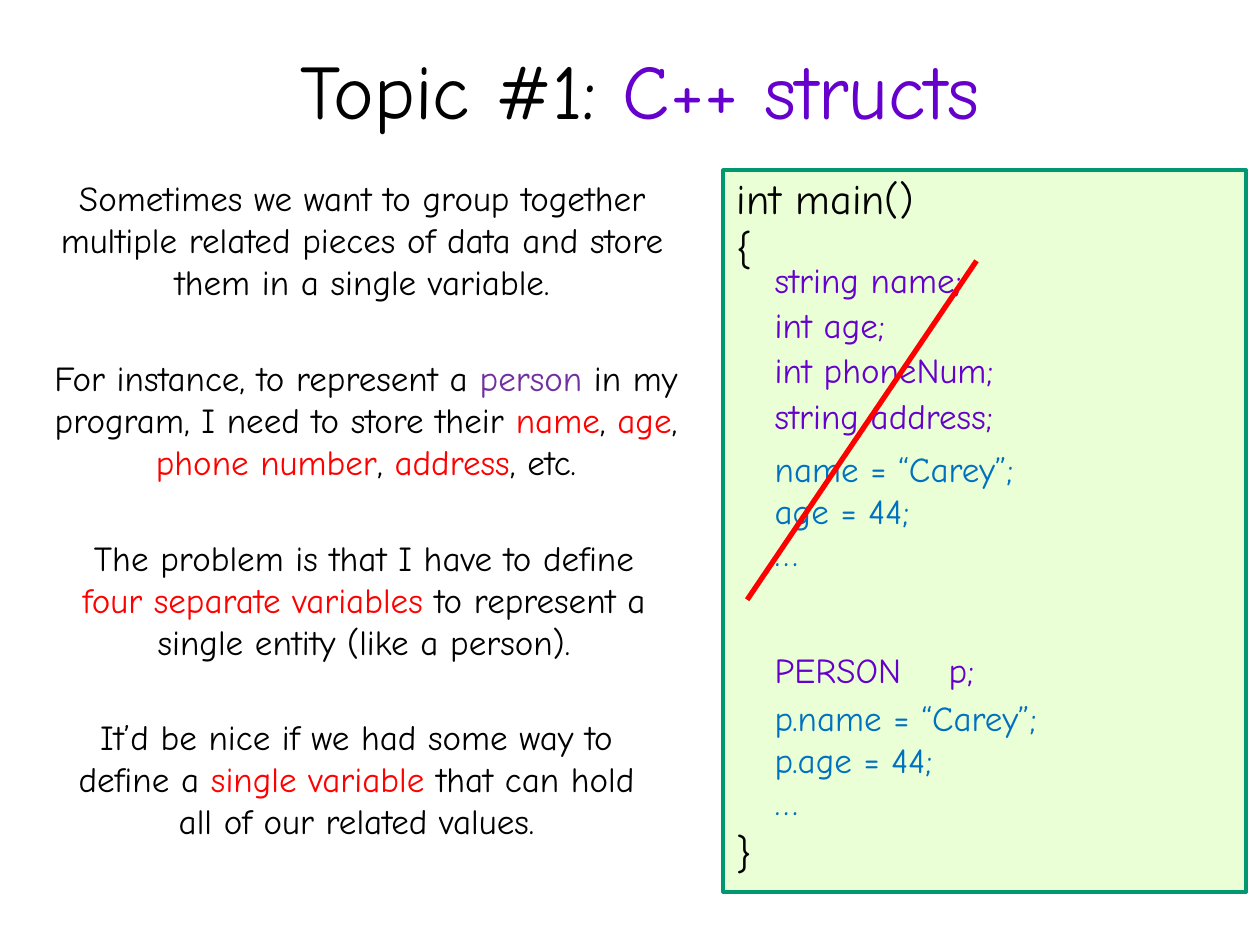
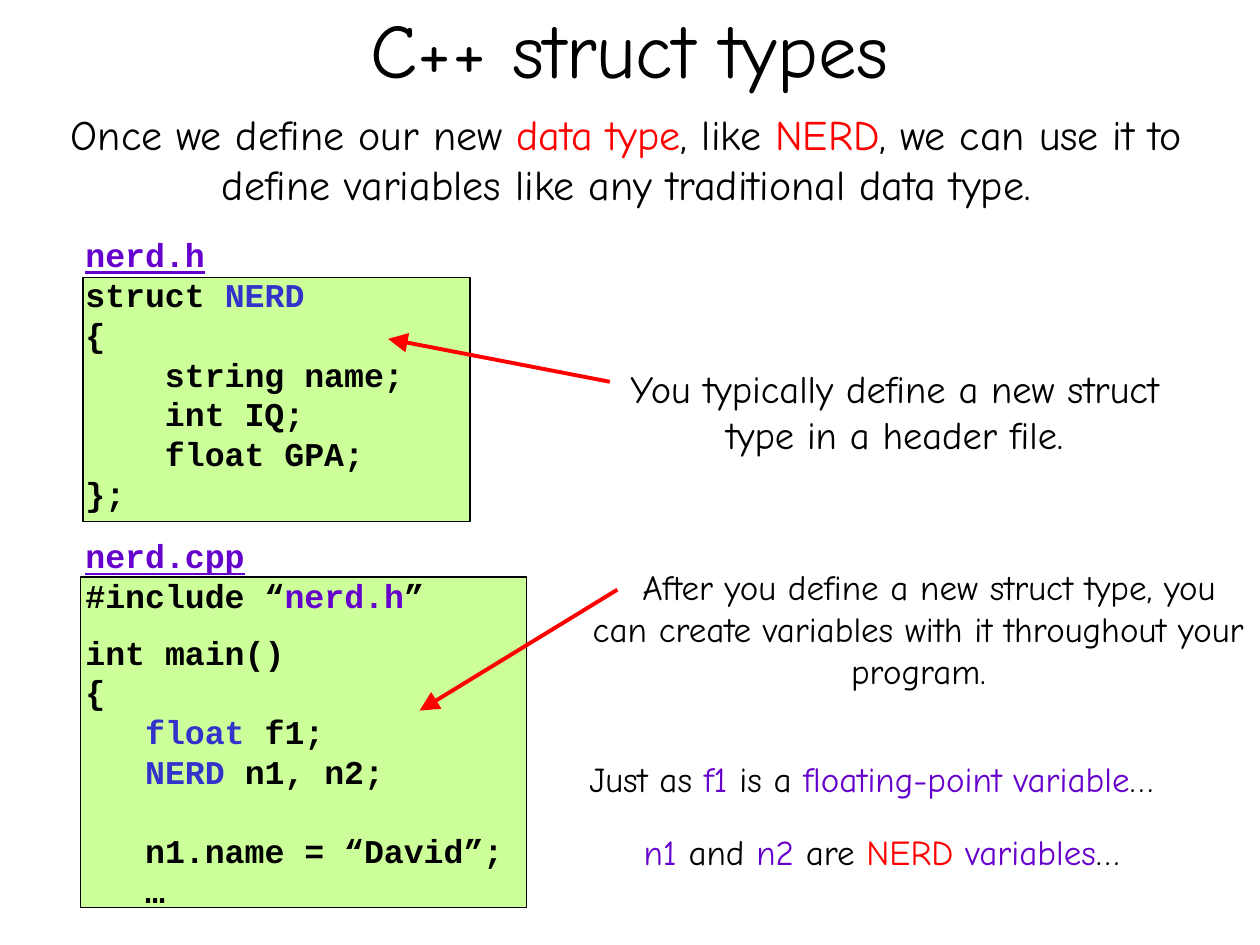
"""Build two slides that introduce C++ structs."""
import pptx
import pptx.dml.color
import pptx.enum.shapes
import pptx.enum.text
import pptx.oxml
import pptx.oxml.ns
import pptx.util
import lxml.etree

Inches = pptx.util.Inches
Pt = pptx.util.Pt
ALIGN = pptx.enum.text.PP_ALIGN
COLORS = {
    "black": "000000", "red": "FF0000", "violet": "6600CC", "purple": "7030A0",
    "azure": "0070C0", "indigo": "3333CC", "green": "009771",
    "mint": "EAFFD5", "lime": "CCFF99",
}
HAND_FONT = "Comic Neue"
CODE_FONT = "Courier New"
LINE_BREAK = "\n"


def rgb(name):
    """Return the named colour."""
    return pptx.dml.color.RGBColor.from_string(COLORS[name])


def child(parent, tag, **attributes):
    """Append a drawing element to a parent element."""
    return lxml.etree.SubElement(parent, pptx.oxml.ns.qn(tag), **attributes)


def add_text(page, box, lines, size, color="black", align=ALIGN.LEFT, font=HAND_FONT):
    """Add a text box; each line lists strings, (text, colour) pairs or breaks."""
    shape = page.shapes.add_textbox(*map(Inches, box))
    frame = shape.text_frame
    frame.word_wrap = True
    for number, pieces in enumerate(lines):
        para = frame.add_paragraph() if number else frame.paragraphs[0]
        para.alignment = align
        for piece in pieces:
            if piece == LINE_BREAK:
                para.add_line_break()
                continue
            text, shade = (piece, color) if isinstance(piece, str) else piece
            span = para.add_run()
            span.text = text
            span.font.name = font
            span.font.size = Pt(size)
            span.font.color.rgb = rgb(shade)
    return frame


def add_title(page, box, pieces):
    """Add a slide title, centred in its box."""
    frame = add_text(page, box, [pieces], 44, align=ALIGN.CENTER)
    frame.vertical_anchor = pptx.enum.text.MSO_ANCHOR.MIDDLE


def add_note(page, box, pieces, size=20):
    """Add a centred explanation."""
    return add_text(page, box, [pieces], size, align=ALIGN.CENTER)


def add_panel(page, box, fill, line, width):
    """Add the coloured rectangle behind code."""
    panel = page.shapes.add_shape(
        pptx.enum.shapes.MSO_SHAPE.RECTANGLE, *map(Inches, box))
    panel.shadow.inherit = False
    panel.fill.solid()
    panel.fill.fore_color.rgb = rgb(fill)
    panel.line.color.rgb = rgb(line)
    panel.line.width = Pt(width)


def add_red_line(page, start, end, width, arrow=False):
    """Add a straight red line, with an arrowhead at its end if wanted."""
    line = page.shapes.add_connector(
        pptx.enum.shapes.MSO_CONNECTOR.STRAIGHT, *map(Inches, start + end))
    line.line.color.rgb = rgb("red")
    line.line.width = Pt(width)
    properties = line._element.spPr
    if arrow:
        outline = properties.find(pptx.oxml.ns.qn("a:ln"))
        child(outline, "a:tailEnd", type="triangle", w="lg", len="lg")
    child(properties, "a:effectLst")


def add_reasons(page, box):
    """Stack the reasons for structs at equal steps down the box."""
    left, top, width, height = box
    reasons = [
        (0, 5.41, ["Sometimes we want to group together multiple related pieces "
                   "of data and store them in a single variable."]),
        (0.11, 5.25, ["For instance, to represent a ", ("person", "purple"),
                      " in my program, I need to store their ", ("name", "red"), ", ",
                      ("age", "red"), ", ", ("phone number", "red"), ", ",
                      ("address", "red"), ", etc."]),
        (0.2, 5.04, ["The problem is that I have to define ",
                     ("four separate variables ", "red"),
                     "to represent a single entity (like a person)."]),
        (0.2, 4.92, ["It’d be nice if we had some way to define a ",
                     ("single variable ", "red"),
                     "that can hold all of our related values."]),
    ]
    step = height / len(reasons)
    for number, (shift, note_width, pieces) in enumerate(reasons):
        add_note(page, (left + shift, top + number * step, note_width, 1.11), pieces)


def add_main_listing(page, box):
    """Show separate variables struck out above a single struct variable."""
    left, top, width, height = box
    add_panel(page, box, "mint", "green", 2)
    add_text(page, (left + 0.01, top - 0.03, 2, 0.9), [["int main()"], ["{"]], 24)
    add_text(page, (left + 0.01, top + 5.16, 1, 0.5), [["}"]], 24)
    inner = left + 0.31
    declarations = ["string name;", "int age;", "int phoneNum;", "string address;"]
    for number, declaration in enumerate(declarations):
        add_text(page, (inner, top + 0.65 + number * 0.36, 3, 0.44),
                 [[declaration]], 20, "violet")
    add_text(page, (inner, top + 2.15, 3, 1.11),
             [["name = “Carey”;"], ["age = 44;"], ["…"]], 20, "azure")
    add_red_line(page, (left + 0.19, top + 3.41), (left + 2.01, top + 0.72), 3)
    person = add_text(page, (inner, top + 3.75, 3, 0.44), [["PERSON\tp;"]], 20, "violet")
    tabs = child(person.paragraphs[0]._p.get_or_add_pPr(), "a:tabLst")
    child(tabs, "a:tab", pos=str(Inches(1.38)), algn="l")
    add_text(page, (inner, top + 4.13, 3, 1.11),
             [["p.name = “Carey”;"], ["p.age = 44;"], ["…"]], 20, "azure")


def add_file(page, box, text_box, name, lines, gaps):
    """Show a source file: its underlined name above a panel of code."""
    add_panel(page, box, "lime", "black", 0.75)
    frame = add_text(page, text_box, [[(name, "violet")]] + lines, 19, font=CODE_FONT)
    for para in frame.paragraphs:
        for span in para.runs:
            span.font.bold = True
    frame.paragraphs[0].runs[0].font.underline = True
    for number, gap in gaps.items():
        frame.paragraphs[number].space_before = Pt(gap)


def add_header_file(page, box):
    """Show the header file, its arrow and its note."""
    left, top, width, height = box
    lines = [["struct ", ("NERD", "indigo")], ["{"], ["    string name;"],
             ["    int IQ;"], ["    float GPA;"], ["};"]]
    add_file(page, box, (left - 0.08, top - 0.39, 3.2, 2.66), "nerd.h", lines, {})
    add_note(page, (left + 3.73, top + 0.65, 5.42, 0.83),
             ["You typically define a new struct", LINE_BREAK,
              "type in a header file."], 22)
    add_red_line(page, (left + 4.18, top + 0.83), (left + 2.42, top + 0.49), 2.25, True)


def add_program_file(page, box):
    """Show the program file, its arrow and its notes."""
    left, top, width, height = box
    lines = [["#include “", ("nerd.h", "violet"), "”"], ["int main()"], ["{"],
             [("   float ", "indigo"), "f1;"], [("   NERD ", "indigo"), "n1, n2;"],
             ["   n1.name = “David”;"], ["   …"]]
    add_file(page, box, (left - 0.06, top - 0.38, 3.85, 3.11), "nerd.cpp", lines,
             {2: 9.5, 6: 22.5})
    after = add_note(page, (left + 3.94, top - 0.14, 5.42, 1.1),
                     ["After you define a new struct type, you can create variables "
                      "with it throughout your program."])
    after.paragraphs[0]._p.get_or_add_pPr().set("indent", str(Inches(0.17)))
    add_red_line(page, (left + 4.26, top + 0.1), (left + 2.69, top + 1.06), 2.25, True)
    add_note(page, (left + 3.62, top + 1.38, 5.31, 0.43),
             ["Just as ", ("f1", "violet"), " is a ",
              ("floating-point variable", "violet"), "…"])
    add_note(page, (left + 3.7, top + 1.96, 5.31, 0.43),
             [("n1 ", "violet"), "and ", ("n2", "violet"), " are ", ("NERD ", "red"),
              ("variables", "violet"), "…"])


def build_topic_slide(page):
    """Build the slide on why structs are useful."""
    add_title(page, (0.83, 0.08, 8.5, 1.25), ["Topic #1: ", ("C++ structs", "violet")])
    add_reasons(page, (0.17, 1.35, 5.41, 5.71))
    add_main_listing(page, (5.74, 1.35, 4.15, 5.73))


def build_types_slide(page):
    """Build the slide on struct types."""
    add_title(page, (0.75, -0.25, 8.5, 1.25), ["C++ struct types"])
    add_note(page, (0.27, 0.81, 9.4, 0.91),
             ["Once we define our new ", ("data type", "red"), ", like ", ("NERD", "red"),
              ", we can use it to define variables like any traditional data type."], 24)
    add_header_file(page, (0.66, 2.2, 3.07, 1.94))
    add_program_file(page, (0.64, 4.58, 3.54, 2.62))


def main():
    """Build and save the deck."""
    deck = pptx.Presentation()
    deck.slide_width, deck.slide_height = Inches(10), Inches(7.5)
    for build in (build_topic_slide, build_types_slide):
        build(deck.slides.add_slide(deck.slide_layouts[6]))
    deck.save("out.pptx")


if __name__ == "__main__":
    main()
